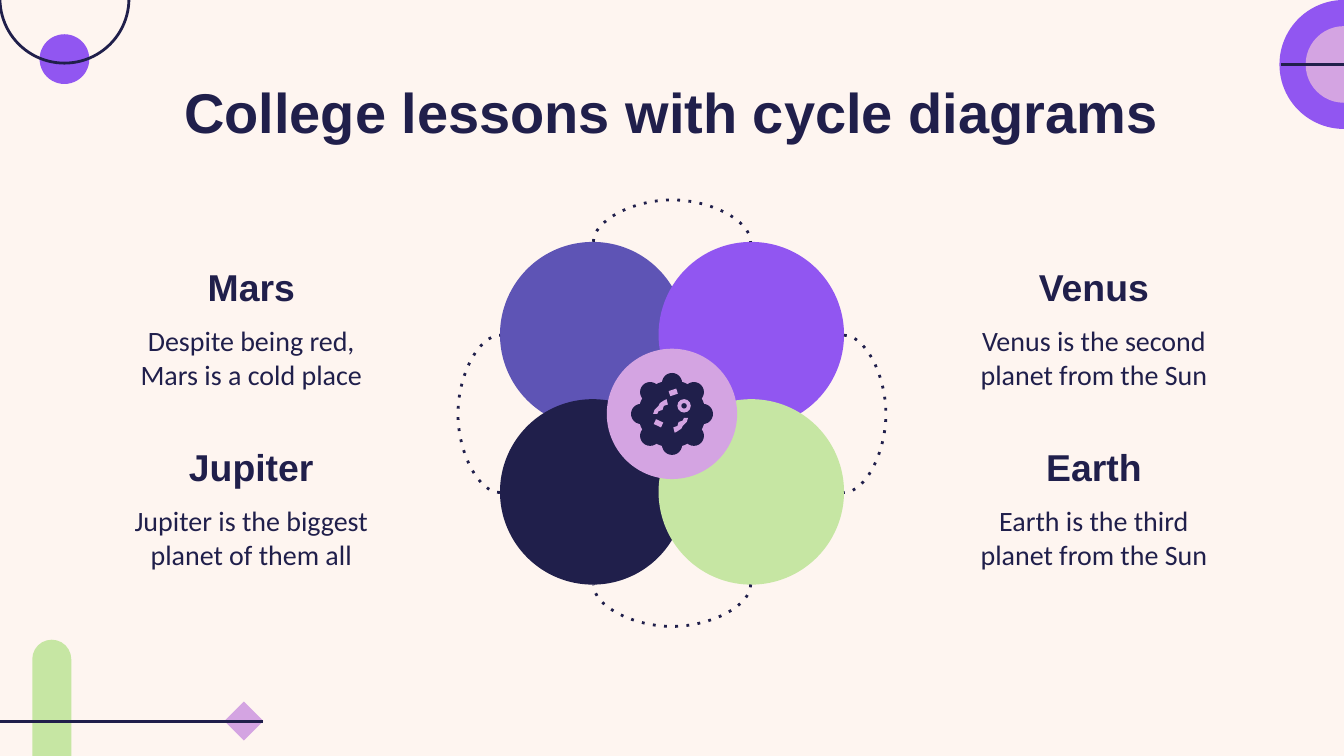
from math import cos, pi, sin

from lxml import etree
from pptx import Presentation
from pptx.dml.color import RGBColor as Rgb
from pptx.enum.dml import MSO_LINE as Dash
from pptx.enum.shapes import MSO_CONNECTOR as Link, MSO_SHAPE as Kind
from pptx.enum.text import MSO_ANCHOR as Anchor, MSO_AUTO_SIZE as Auto, PP_ALIGN as Align
from pptx.oxml.ns import qn
from pptx.util import Emu, Inches, Pt

NAVY, PURPLE, PINK, GREEN = "201F4B", "9156F1", "D4A4E2", "C6E6A3"
INDIGO, CREAM = "5E54B5", "FEF5F0"
MID_X, MID_Y = 5, 3.08


def paint(fill, color):
    fill.solid()
    fill.fore_color.rgb = Rgb.from_string(color)


def finish(shape, color, edge=None):
    """Flat fill, optional outline, no shadow."""
    shape.shadow.inherit = False
    if color:
        paint(shape.fill, color)
    else:
        shape.fill.background()
    if edge:
        paint(shape.line.fill, edge)
        shape.line.width = Pt(1.5)
    else:
        shape.line.fill.background()
    return shape


def block(slide, kind, box, color, edge=None):
    shape = slide.shapes.add_shape(kind, *map(Inches, box))
    return finish(shape, color, edge)


def disc(slide, x, y, size, color, edge=None):
    """Circle around a centre point."""
    box = x - size / 2, y - size / 2, size, size
    return block(slide, Kind.OVAL, box, color, edge)


def link(slide, kind, start, end):
    line = slide.shapes.add_connector(kind, *map(Inches, start + end))
    paint(line.line.fill, NAVY)
    line.line.width = Pt(1.5)
    etree.SubElement(line._element.spPr, qn("a:effectLst"))
    return line


def bow(slide, first, last, site, x, y, turn, flip):
    """Dotted curve that joins the same site of two circles."""
    line = link(slide, Link.CURVE, (x, y), (x, y))
    line.line.dash_style = Dash.ROUND_DOT
    line._element.find(".//" + qn("a:prstDash")).set("val", "dot")
    line.begin_connect(first, 0)
    line.end_connect(last, 0)
    for tag in ("a:stCxn", "a:endCxn"):
        line._element.find(".//" + qn(tag)).set("idx", str(site))
    # A nearly flat frame; the adjustment gives the bulge
    thin, tall = Emu(600), Inches(1.17)
    line.left, line.top = Inches(x), Inches(y) - tall // 2
    line.width, line.height = thin, tall
    frame = line._element.spPr.find(qn("a:xfrm"))
    frame.attrib.pop("flipV", None)
    frame.set("flipH", str(int(flip)))
    frame.set("rot", str(turn * 60000))
    geom = line._element.spPr.find(qn("a:prstGeom"))
    geom.set("prst", "curvedConnector3")
    bulge = Inches(0.26) * 100000 // thin
    guide = etree.SubElement(geom.find(qn("a:avLst")), qn("a:gd"))
    guide.set("name", "adj1")
    guide.set("fmla", f"val {-bulge if flip else bulge}")


def write(shape, text, size, font, bold=False, anchor=Anchor.TOP):
    frame = shape.text_frame
    frame.text = text
    frame.word_wrap = True
    frame.auto_size = Auto.NONE
    frame.vertical_anchor = anchor
    frame.margin_left = frame.margin_right = Inches(0.1)
    frame.margin_top = frame.margin_bottom = Inches(0.1)
    para = frame.paragraphs[0]
    para.alignment = Align.CENTER
    face = para.runs[0].font
    face.size, face.name, face.bold = Pt(size), font, bold
    face.color.rgb = Rgb.from_string(NAVY)


def note(slide, x, y, head, body):
    """Heading with a short text below it."""
    box = slide.shapes.add_textbox(*map(Inches, (x, y + 0.52, 2.16, 0.71)))
    write(box, body, 15, "Calibri")
    box = slide.shapes.add_textbox(*map(Inches, (x, y, 2.16, 0.61)))
    write(box, head, 20, "Arial", True, Anchor.BOTTOM)


def decor(slide):
    # Bottom left
    block(slide, Kind.DIAMOND, (1.67, 5.22, 0.29, 0.29), PINK)
    bar = block(slide, Kind.ROUNDED_RECTANGLE, (0.24, 4.76, 0.29, 1.35), GREEN)
    bar.adjustments[0] = 0.5
    link(slide, Link.STRAIGHT, (0, 5.37), (1.96, 5.37))
    # Top right
    disc(slide, 10, 0.48, 0.96, PURPLE)
    disc(slide, 10, 0.48, 0.57, PINK)
    link(slide, Link.STRAIGHT, (9.53, 0.48), (10.48, 0.48))
    # Top left
    disc(slide, 0.48, 0.44, 0.37, PURPLE)
    disc(slide, 0.48, -0.01, 0.96, None, NAVY)


def patch(slide, points, color):
    spots = [(Inches(x), Inches(y)) for x, y in points]
    form = slide.shapes.build_freeform(*spots[0])
    form.add_line_segments(spots[1:])
    finish(form.convert_to_shape(), color)


def cell(slide):
    """Round icon with eight knobs in the centre."""
    disc(slide, MID_X, MID_Y, 0.97, PINK)
    disc(slide, MID_X, MID_Y, 0.5, NAVY)
    for step in range(8):
        turn = step * pi / 4
        disc(slide, MID_X + 0.23 * cos(turn), MID_Y + 0.23 * sin(turn), 0.15, NAVY)
    # Eye and specks
    disc(slide, 5.09, 3.02, 0.1, PINK)
    disc(slide, 5.09, 3.02, 0.04, NAVY)
    for x, y, turn in ((4.9, 3.15, 25), (5.01, 2.92, -18)):
        speck = block(slide, Kind.RECTANGLE, (x - 0.03, y - 0.02, 0.06, 0.04), PINK)
        speck.rotation = turn
    # Two wavy marks, one the half turn of the other
    wave = [(4.86, 3.08), (4.87, 3.05), (4.9, 3.02), (4.91, 3), (4.94, 2.98),
            (4.96, 2.97), (4.97, 3.01), (4.94, 3.02), (4.93, 3.05),
            (4.9, 3.06), (4.89, 3.08)]
    patch(slide, wave, PINK)
    patch(slide, [(9.98 - x, 6.19 - y) for x, y in wave], PINK)


def cycle(slide):
    hues = INDIGO, PURPLE, NAVY, GREEN
    spots = [(x, y) for y in (2.49, 3.66) for x in (4.41, 5.59)]
    mars, venus, jove, earth = [
        disc(slide, x, y, 1.38, hue) for (x, y), hue in zip(spots, hues)]
    bow(slide, venus, earth, 6, 6.28, MID_Y, 0, False)
    bow(slide, mars, venus, 0, MID_X, 1.8, 270, True)
    bow(slide, earth, jove, 4, MID_X, 4.35, 90, False)
    bow(slide, jove, mars, 2, 3.72, MID_Y, 180, True)
    cell(slide)


def main():
    deck = Presentation()
    # Widescreen, 16 to 9
    deck.slide_width = Inches(10)
    deck.slide_height = deck.slide_width * 9 // 16
    slide = deck.slides.add_slide(deck.slide_layouts[5])
    paint(slide.background.fill, CREAM)
    decor(slide)

    title = slide.shapes.title
    title.left, title.top = Inches(0.78), Inches(0.48)
    title.width, title.height = Inches(8.43), Inches(0.63)
    write(title, "College lessons with cycle diagrams", 30, "Arial", True)

    notes = (
        (0.79, 1.79, "Mars", "Despite being red, Mars is a cold place"),
        (7.06, 1.79, "Venus", "Venus is the second planet from the Sun"),
        (0.79, 3.13, "Jupiter", "Jupiter is the biggest planet of them all"),
        (7.06, 3.13, "Earth", "Earth is the third planet from the Sun"),
    )
    for item in notes:
        note(slide, *item)
    cycle(slide)
    deck.save("out.pptx")


if __name__ == "__main__":
    main()
